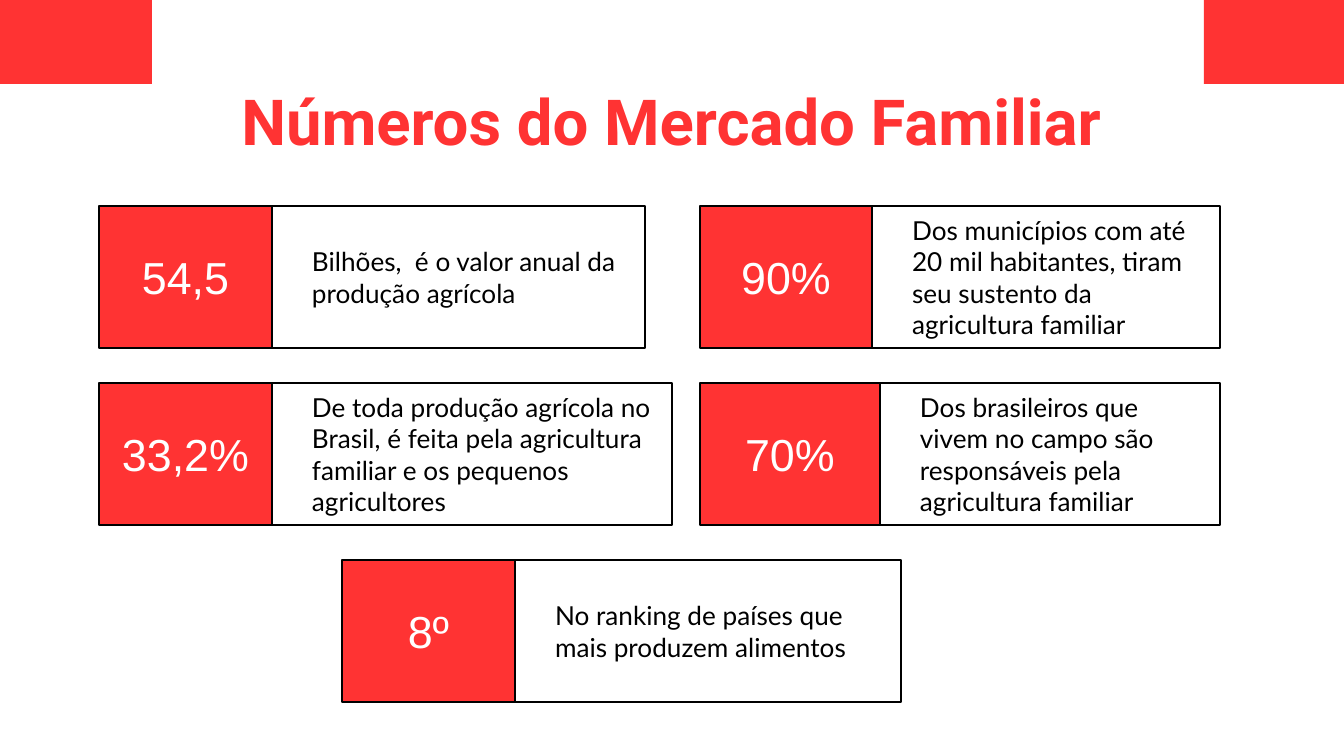
from pptx import Presentation
from pptx import util as u
from pptx.dml.color import RGBColor
from pptx.enum import shapes, text

SCALE = 9144000 / 1344
COLORS = {"red": "FF3333", "white": "FFFFFF", "black": "000000"}


def px(value):
    return u.Emu(round(value * SCALE))


def write(shape, words, font, size, color, bold=False, align=text.PP_ALIGN.CENTER,
          anchor=text.MSO_ANCHOR.MIDDLE, inset=13, indent=0, before=0):
    frame = shape.text_frame
    frame.word_wrap = True
    frame.vertical_anchor = anchor
    frame.margin_left = frame.margin_right = px(13)
    frame.margin_top = frame.margin_bottom = px(inset)
    paragraph = frame.paragraphs[0]
    paragraph.alignment = align
    paragraph.space_before = u.Pt(before)
    properties = paragraph._p.get_or_add_pPr()
    properties.set("marL", str(px(indent)))
    properties.set("indent", "0")
    run = paragraph.add_run()
    run.text = words
    run.font.name = font
    run.font.size = u.Pt(size)
    run.font.bold = bold
    run.font.color.rgb = RGBColor.from_string(COLORS[color])


presentation = Presentation()
presentation.slide_width = px(1344)
presentation.slide_height = px(756)
slide = presentation.slides.add_slide(presentation.slide_layouts[6])

title = slide.shapes.add_textbox(px(124), px(69), px(1095), px(85))
write(title, "Números do Mercado Familiar", "Roboto", 34, "red", bold=True,
      anchor=text.MSO_ANCHOR.TOP)

for left, width in [(0, 152), (1204, 140)]:
    corner = slide.shapes.add_shape(shapes.MSO_SHAPE.RECTANGLE, px(left), 0, px(width), px(84))
    corner.shadow.inherit = False
    corner.fill.solid()
    corner.fill.fore_color.rgb = RGBColor.from_string(COLORS["red"])
    corner.line.fill.background()

TOP, ROW_STEP, CARD_HEIGHT = 206, 177, 142
cards = [
    (0, 99, 272, 645, "54,5", "Bilhões,  é o valor anual da produção agrícola"),
    (1, 99, 272, 672, "33,2%",
     "De toda produção agrícola no Brasil, é feita pela agricultura familiar e os pequenos agricultores"),
    (1, 700, 880, 1220, "70%",
     "Dos brasileiros que vivem no campo são responsáveis pela agricultura familiar"),
    (2, 342, 515, 901, "8º", "No ranking de países que mais produzem alimentos"),
    (0, 700, 872, 1220, "90%",
     "Dos municípios com até 20 mil habitantes, tiram seu sustento da agricultura familiar"),
]
for row, left, divider, right, number, description in cards:
    for start, end, fill in [(left, divider, "red"), (divider, right, "white")]:
        box = slide.shapes.add_shape(shapes.MSO_SHAPE.RECTANGLE, px(start), px(TOP + row * ROW_STEP),
                                     px(end - start), px(CARD_HEIGHT))
        box.shadow.inherit = False
        box.fill.solid()
        box.fill.fore_color.rgb = RGBColor.from_string(COLORS[fill])
        box.line.color.rgb = RGBColor.from_string(COLORS["black"])
        box.line.width = u.Pt(0.75)
        if fill == "red":
            write(box, number, "Arial", 24, "white", inset=7)
        else:
            write(box, description, "Lato", 14, "black", align=text.PP_ALIGN.LEFT,
                  indent=27, before=2)

presentation.save("out.pptx")
